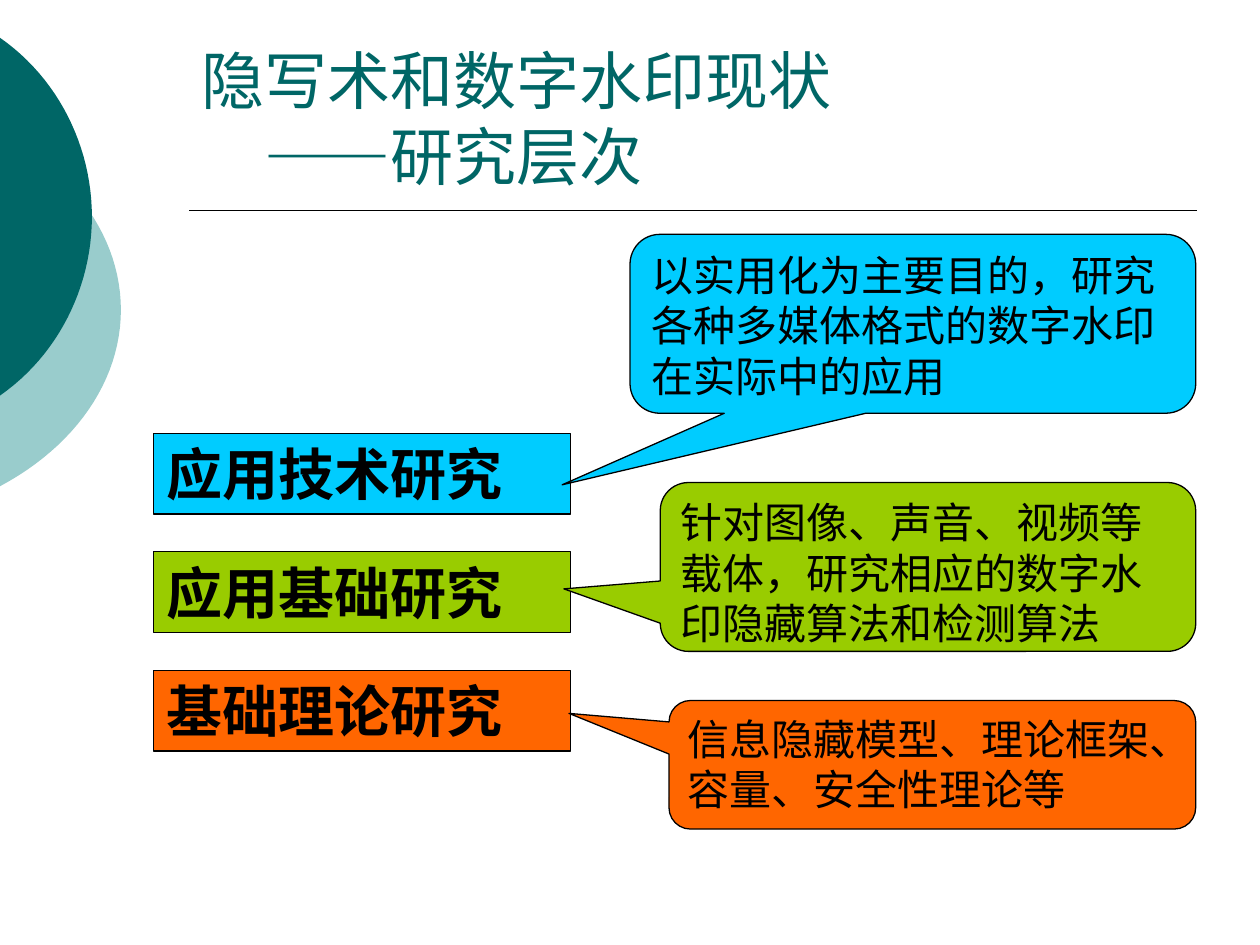
from lxml import etree
from pptx import Presentation
from pptx.dml.color import RGBColor
from pptx.enum.shapes import MSO_CONNECTOR, MSO_SHAPE
from pptx.enum.text import MSO_ANCHOR, PP_ALIGN
from pptx.oxml.ns import qn
from pptx.util import Inches, Pt

RECT = MSO_SHAPE.RECTANGLE
CALLOUT = MSO_SHAPE.ROUNDED_RECTANGULAR_CALLOUT
STRAIGHT = MSO_CONNECTOR.STRAIGHT
TOP, BOTTOM = MSO_ANCHOR.TOP, MSO_ANCHOR.BOTTOM
LEFT = PP_ALIGN.LEFT

TEAL, PALE_TEAL, BLACK = "006666", "99CCCC", "000000"
BLUE, GREEN, ORANGE = "00CCFF", "99CC00", "FF6600"


def rgb(value):
    return RGBColor.from_string(value)


class SlideBuilder:
    """Holds the slide and its style, and draws each kind of element."""

    title_font, body_font = "Arial", "Karla"

    def __init__(self, slide):
        self.s = slide

    def add_text(self, sp, lines, size, font, color=BLACK, bold=False, anchor=TOP):
        tf = sp.text_frame
        tf.word_wrap = True
        tf.vertical_anchor = anchor
        p = tf.paragraphs[0]
        p.alignment = LEFT
        for i, line in enumerate(lines):
            if i:
                p.add_line_break()
            r = p.add_run()
            r.text = line
            r.font.size = Pt(size)
            r.font.name = font
            r.font.bold = bold
            r.font.color.rgb = rgb(color)

    def title(self, x, y, w, h, lines):
        sp = self.s.shapes.add_textbox(Inches(x), Inches(y), Inches(w), Inches(h))
        self.add_text(sp, lines, 36, self.title_font, TEAL, anchor=BOTTOM)

    def rule(self, x1, x2, y):
        c = self.s.shapes.add_connector(STRAIGHT, Inches(x1), Inches(y), Inches(x2), Inches(y))
        c.line.color.rgb = rgb(BLACK)
        c.line.width = Pt(1)
        etree.SubElement(c._element.spPr, qn("a:effectLst"))

    def edge_disc(self, top, control1, control2, tip, color, steps=24):
        """Draw a disc cut by the left slide edge, mirrored about its tip."""
        curve = []
        for i in range(steps + 1):
            t = i / steps
            weights = (1 - t) ** 3, 3 * t * (1 - t) ** 2, 3 * t ** 2 * (1 - t), t ** 3
            nodes = (0, top), control1, control2, tip
            curve.append(tuple(sum(k * n[axis] for k, n in zip(weights, nodes)) for axis in (0, 1)))
        curve += [(x, 2 * tip[1] - y) for x, y in reversed(curve[:-1])]
        points = [(Inches(x), Inches(y)) for x, y in curve]
        fb = self.s.shapes.build_freeform(*points[0])
        fb.add_line_segments(points[1:], close=True)
        sp = fb.convert_to_shape()
        sp.shadow.inherit = False
        sp.fill.solid()
        sp.fill.fore_color.rgb = rgb(color)
        sp.line.fill.background()

    def box(self, kind, x, y, w, h, color):
        sp = self.s.shapes.add_shape(kind, Inches(x), Inches(y), Inches(w), Inches(h))
        sp.shadow.inherit = False
        sp.fill.solid()
        sp.fill.fore_color.rgb = rgb(color)
        sp.line.color.rgb = rgb(BLACK)
        sp.line.width = Pt(0.75)
        return sp

    def label(self, x, y, w, h, text, color):
        sp = self.box(RECT, x, y, w, h, color)
        self.add_text(sp, [text], 32, self.body_font, bold=True)

    def callout(self, x, y, w, h, tail, text, color):
        sp = self.box(CALLOUT, x, y, w, h, color)
        sp.adjustments[0], sp.adjustments[1] = tail
        self.add_text(sp, [text], 24, self.body_font)


def main():
    prs = Presentation()
    prs.slide_width, prs.slide_height = Inches(10), Inches(7.5)
    b = SlideBuilder(prs.slides.add_slide(prs.slide_layouts[6]))

    b.edge_disc(1.06, (0.6, 1.38), (0.96, 1.9), (0.96, 2.46), PALE_TEAL)
    b.edge_disc(0.3, (0.46, 0.62), (0.73, 1.16), (0.73, 1.72), TEAL)
    b.rule(1.5, 9.5, 1.67)
    b.title(1.5, 0.33, 8, 1.25, ["隐写术和数字水印现状", "\t——研究层次"])

    levels = [("应用技术研究", BLUE), ("应用基础研究", GREEN), ("基础理论研究", ORANGE)]
    for i, (text, color) in enumerate(levels):
        b.label(1.22, 3.44 + 0.94 * i, 3.31, 0.64, text, color)

    right = 9.49
    callouts = [
        (5, 1.86, 1.42, (-0.62, 0.9), "以实用化为主要目的，研究各种多媒体格式的数字水印在实际中的应用"),
        (5.24, 3.83, 1.34, (-0.68, 0.13), "针对图像、声音、视频等载体，研究相应的数字水印隐藏算法和检测算法"),
        (5.31, 5.56, 1.02, (-0.69, -0.4), "信息隐藏模型、理论框架、容量、安全性理论等"),
    ]
    for (x, y, h, tail, text), (_, color) in zip(callouts, levels):
        b.callout(x, y, right - x, h, tail, text, color)

    prs.save("out.pptx")


if __name__ == "__main__":
    main()
